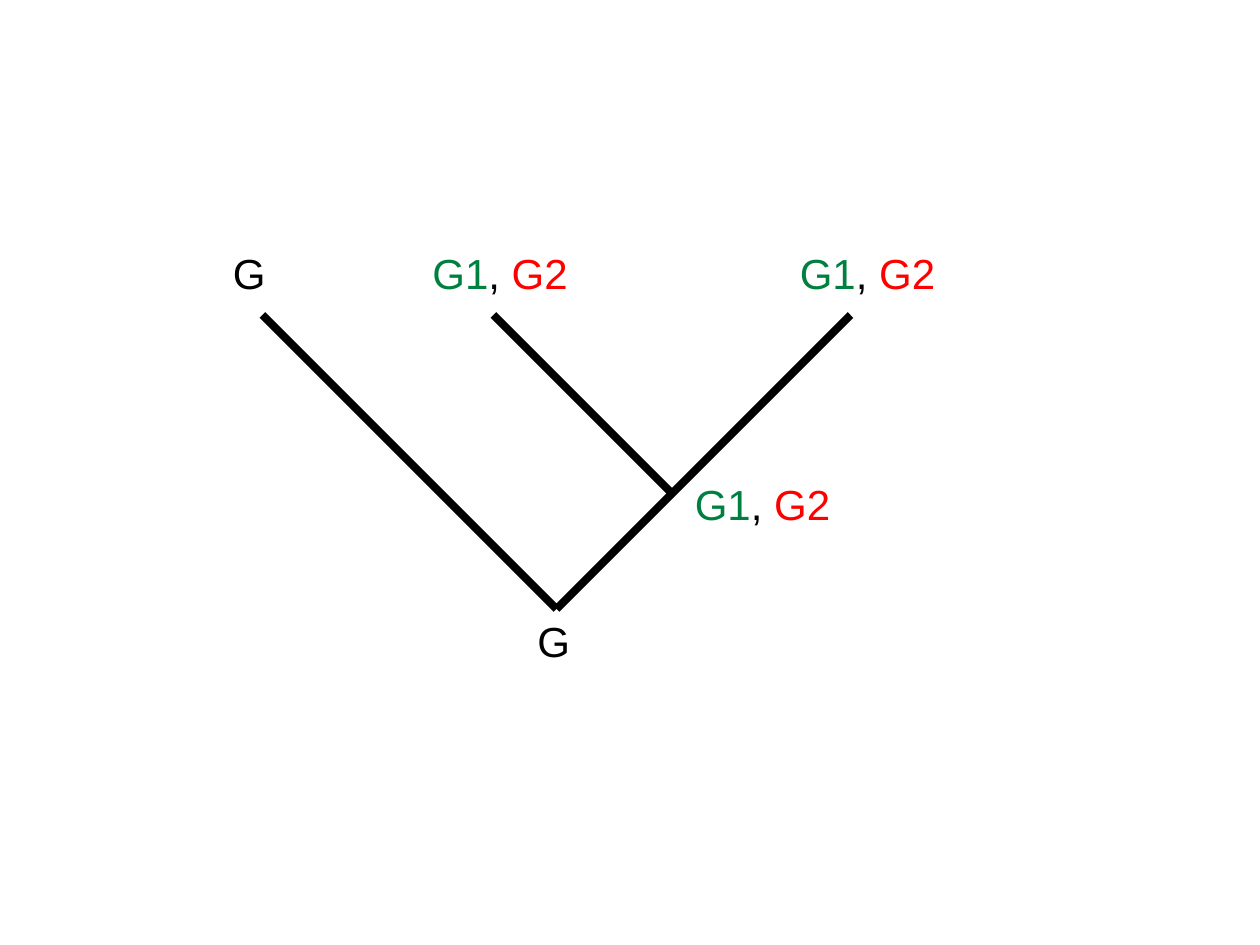
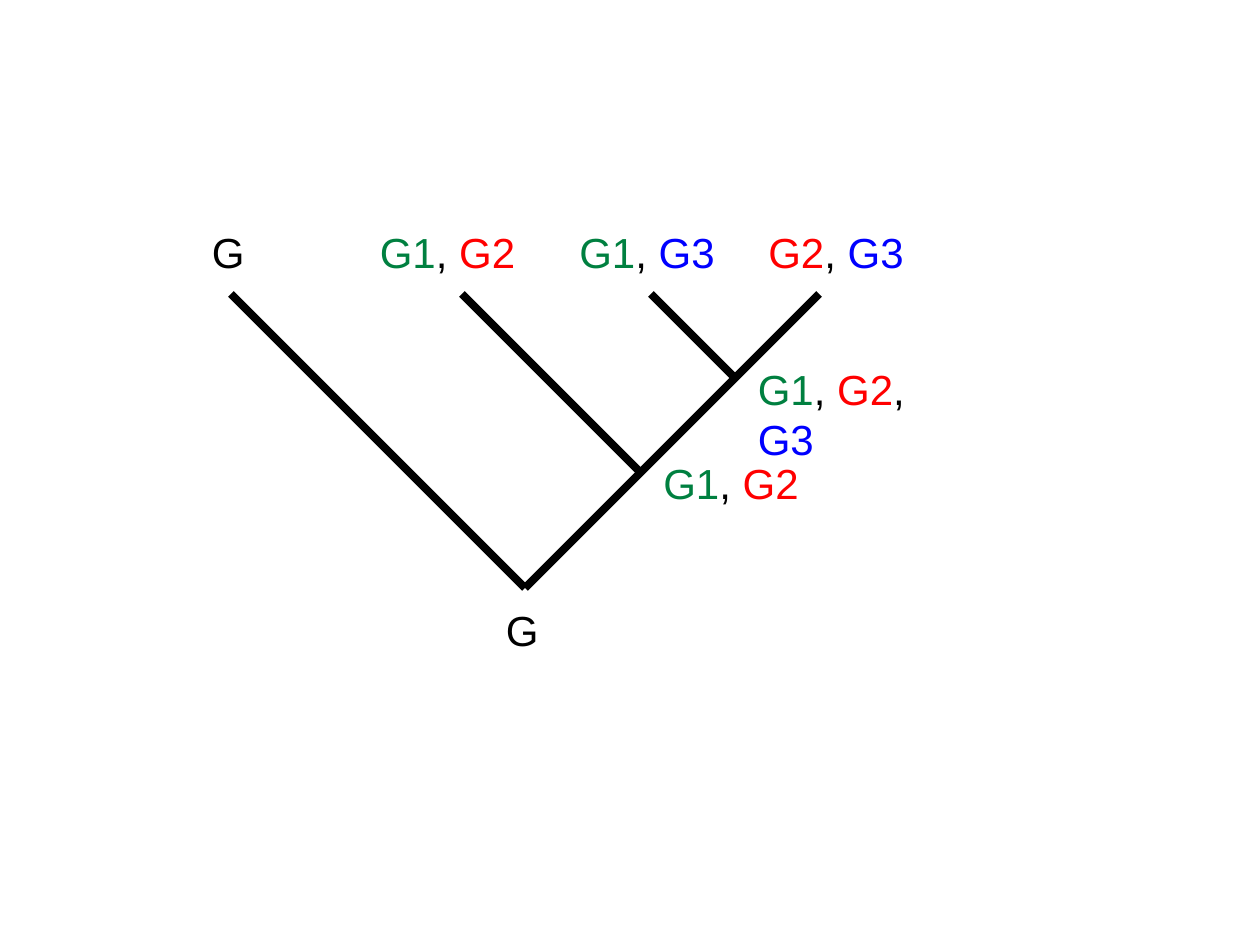
from lxml.etree import SubElement
from pptx import Presentation
from pptx.dml.color import RGBColor as Rgb
from pptx.enum.shapes import MSO_CONNECTOR as Connector
from pptx.enum.text import MSO_AUTO_SIZE as AutoSize
from pptx.oxml.ns import qn
from pptx.util import Inches, Pt

COLOURS = {"G": "000000", "G1": "008040", "G2": "FF0000", "G3": "0000FF", "ink": "000000"}
LABEL_COLUMNS = {1: 5.5, 2: 15.25, 3: 22.8}
COLUMNS, ROWS = 120, 90


def write(paragraph, text, *, colour, size=24, font="Arial"):
    run = paragraph.add_run()
    run.text = text
    run.font.name, run.font.size = font, Pt(size)
    run.font.color.rgb = Rgb.from_string(COLOURS[colour])


class GeneTreeDeck:
    """Draws gene trees on a grid of 120 columns and 90 rows."""

    def __init__(self):
        self.deck = Presentation()
        self.deck.slide_width, self.deck.slide_height = Inches(10), Inches(7.5)
        self.slide = None

    def new_slide(self):
        self.slide = self.deck.slides.add_slide(self.deck.slide_layouts[6])

    def at(self, column, row):
        return (round(self.deck.slide_width * column / COLUMNS),
                round(self.deck.slide_height * row / ROWS))

    def branch(self, tip, joint):
        line = self.slide.shapes.add_connector(Connector.STRAIGHT, *self.at(*tip), *self.at(*joint))
        line.line.color.rgb = Rgb.from_string(COLOURS["ink"])
        line.line.width = Pt(4.5)
        SubElement(line._element.spPr, qn("a:effectLst"))

    def label(self, genes, column, row):
        names = genes.split(", ")
        size = self.at(LABEL_COLUMNS[len(names)], 6)
        frame = self.slide.shapes.add_textbox(*self.at(column, row), *size).text_frame
        frame.word_wrap = False
        frame.auto_size = AutoSize.SHAPE_TO_FIT_TEXT
        for position, name in enumerate(names):
            if position:
                write(frame.paragraphs[0], ", ", colour="ink")
            write(frame.paragraphs[0], name, colour=name)

    def tree(self, tip_row, trunk, outgroup, side_branches, root_gap):
        self.new_slide()
        trunk_tip, trunk_label, trunk_genes = trunk
        outgroup_tip, outgroup_label = outgroup

        def joint_of(tip):
            span = (trunk_tip - tip) / 2
            return tip + span, tip_row + span

        root = joint_of(outgroup_tip)
        self.branch((outgroup_tip, tip_row), root)
        self.branch((trunk_tip, tip_row), root)
        self.label("G", outgroup_label, tip_row - 7)
        self.label("G", root[0] - 3, root[1] + root_gap)
        self.label(trunk_genes, trunk_label, tip_row - 7)
        for tip, label_column, tip_genes, joint_genes in side_branches:
            joint = joint_of(tip)
            self.branch((tip, tip_row), joint)
            self.label(tip_genes, label_column, tip_row - 7)
            self.label(joint_genes, joint[0] + 1, joint[1] - 2)


def main():
    genes = GeneTreeDeck()
    genes.tree(
        tip_row=30,
        trunk=(81, 75, "G1, G2"),
        outgroup=(25, 21),
        side_branches=[(47, 40, "G1, G2", "G1, G2")],
        root_gap=0,
    )
    genes.tree(
        tip_row=28,
        trunk=(78, 72, "G2, G3"),
        outgroup=(22, 19),
        side_branches=[
            (44, 35, "G1, G2", "G1, G2"),
            (62, 54, "G1, G3", "G1, G2, G3"),
        ],
        root_gap=1,
    )
    genes.deck.save("out.pptx")


if __name__ == "__main__":
    main()
